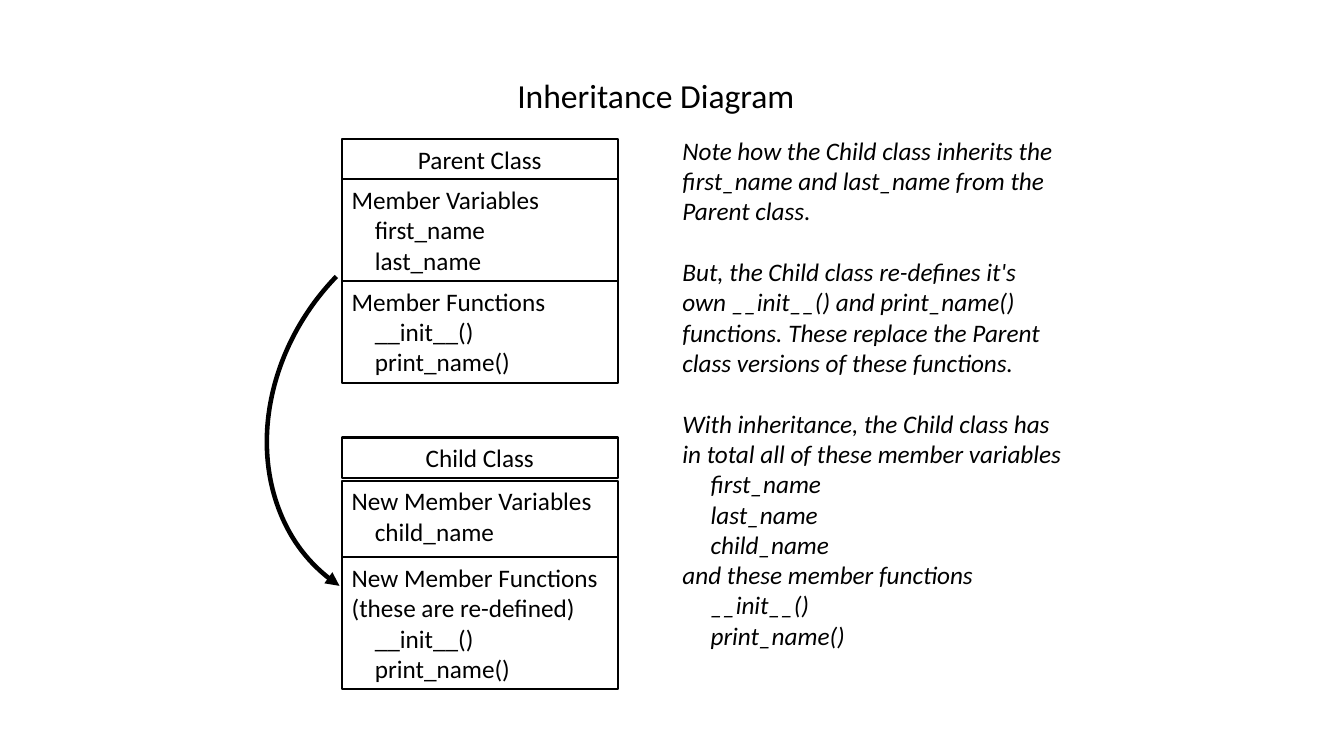
from lxml.etree import SubElement
from pptx import Presentation
from pptx.dml.color import RGBColor
from pptx.enum.shapes import MSO_SHAPE as Shape
from pptx.enum.text import MSO_ANCHOR as Anchor, MSO_AUTO_SIZE as AutoSize, PP_ALIGN as Align
from pptx.oxml.ns import qn
from pptx.util import Inches, Pt

BLACK = RGBColor(0, 0, 0)
FONT = "Calibri"
WIDTH, HEIGHT = Inches(13.33), Inches(7.5)
CLASS_LEFT, CLASS_WIDTH = 25.43, 20.55
HEADING_ROW = 5.33

PARENT_SECTIONS = [
    (13.47, ["Member Variables", "\tfirst_name", "\tlast_name"]),
    (13.47, ["Member Functions", "\t__init__()", "\tprint_name()"]),
]
CHILD_SECTIONS = [
    (10.13, ["New Member Variables", "\tchild_name"]),
    (17.47, ["New Member Functions\v(these are re-defined)", "\t__init__()", "\tprint_name()"]),
]
NOTES = [
    ["Note how the Child class inherits the first_name and last_name from the Parent class."],
    ["But, the Child class re-defines it's own __init__() and print_name() functions. "
     "These replace the Parent class versions of these functions."],
    ["With inheritance, the Child class has in total all of these member variables",
     "\tfirst_name", "\tlast_name", "\tchild_name",
     "and these member functions", "\t__init__()", "\tprint_name()"],
]


def place(left, top, width, height):
    """Turn percentages of the slide's size into lengths."""
    return (round(WIDTH * left / 100), round(HEIGHT * top / 100),
            round(WIDTH * width / 100), round(HEIGHT * height / 100))


def write(box, blocks, size=18, align=Align.LEFT, italic=False, indent=0.23, gap=22):
    frame = box.text_frame
    frame.word_wrap = True
    frame.auto_size = AutoSize.SHAPE_TO_FIT_TEXT
    frame.vertical_anchor = Anchor.TOP
    lines = [(line, index > 0 and number == 0)
             for index, block in enumerate(blocks) for number, line in enumerate(block)]
    for number, (line, opens_block) in enumerate(lines):
        para = frame.add_paragraph() if number else frame.paragraphs[0]
        para.text = line.lstrip("\t")
        para.alignment = align
        para.line_spacing = 1.0
        para.space_before = Pt(gap if opens_block else 0)
        if line.startswith("\t"):
            para._p.get_or_add_pPr().set("marL", str(Inches(indent)))
        for span in para.runs:
            span.font.name = FONT
            span.font.size = Pt(size)
            span.font.italic = italic
            span.font.color.rgb = BLACK


def add_outline(shapes, kind, area, weight):
    shape = shapes.add_shape(kind, *place(*area))
    shape.shadow.inherit = False
    shape.fill.background()
    shape.line.color.rgb = BLACK
    shape.line.width = Pt(weight)
    return shape


def add_class(page, name, top, sections, heading_gap=0):
    shapes = page.shapes.add_group_shape().shapes
    heading = add_outline(shapes, Shape.RECTANGLE, (CLASS_LEFT, top, CLASS_WIDTH, HEADING_ROW), 1.5)
    write(heading, [[name]], align=Align.CENTER)
    top += HEADING_ROW + heading_gap
    for height, lines in sections:
        box = add_outline(shapes, Shape.RECTANGLE, (CLASS_LEFT, top, CLASS_WIDTH, height), 1.5)
        write(box, [lines])
        top += height


def add_inheritance_arrow(page):
    arc = add_outline(page.shapes, Shape.ARC, (20.78, 25.87, 26.86, 56.53), 3.25)
    arc.adjustments[0], arc.adjustments[1] = 160.61, 6.31
    arc.rotation = 216.6
    SubElement(arc.line._get_or_add_ln(), qn("a:headEnd"), type="triangle")


def add_title(page, text):
    title = page.shapes.title
    title.left, title.top, title.width, title.height = place(22.81, 9.2, 51.99, 6.67)
    write(title, [[text]], size=24, align=Align.CENTER)


def add_notes(page):
    box = page.shapes.add_textbox(*place(50.04, 17.2, 29.86, 74))
    write(box, NOTES, italic=True, indent=0.28)


def main():
    deck = Presentation()
    deck.slide_width, deck.slide_height = WIDTH, HEIGHT
    page = deck.slides.add_slide(deck.slide_layouts[5])
    add_title(page, "Inheritance Diagram")
    add_class(page, "Parent Class", 18.4, PARENT_SECTIONS)
    add_inheritance_arrow(page)
    add_class(page, "Child Class", 57.87, CHILD_SECTIONS, heading_gap=0.4)
    add_notes(page)
    deck.save("out.pptx")


if __name__ == "__main__":
    main()
